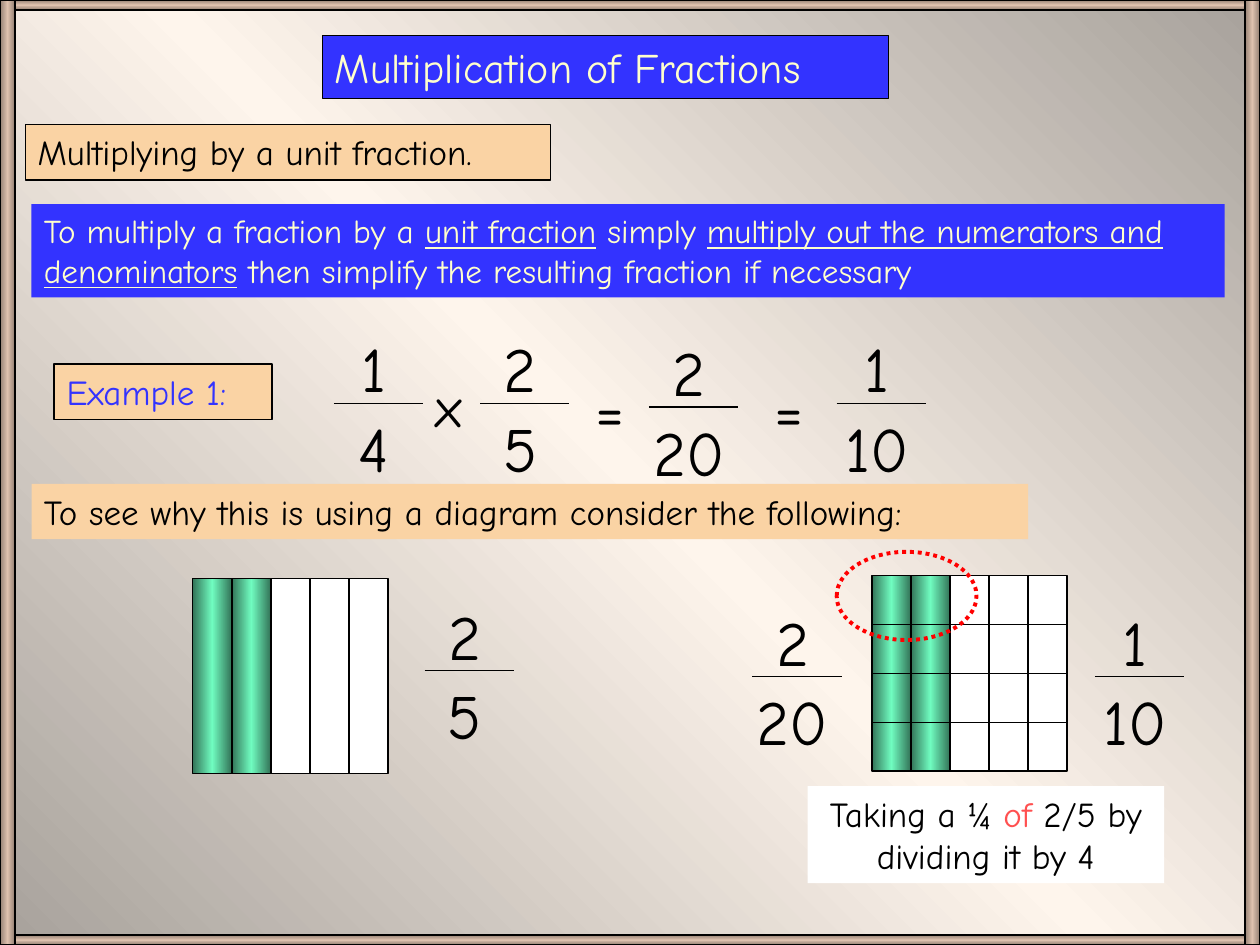
from copy import deepcopy
from pptx import Presentation
from pptx.dml.color import RGBColor
from pptx.enum.dml import MSO_LINE
from pptx.enum.shapes import MSO_CONNECTOR, MSO_SHAPE
from pptx.enum.text import MSO_ANCHOR, PP_ALIGN
from pptx.oxml.ns import qn
from pptx.util import Inches, Pt

RECT, OVAL = MSO_SHAPE.RECTANGLE, MSO_SHAPE.OVAL
LINE, DOTS = MSO_CONNECTOR.STRAIGHT, MSO_LINE.ROUND_DOT
LEFT, MID, TOP = PP_ALIGN.LEFT, PP_ALIGN.CENTER, MSO_ANCHOR.TOP
FONT = "Comic Neue"
WIDE, HIGH = 10, 7.5
INK, WHITE, BLUE, CREAM, PEACH = "000000", "FFFFFF", "3333FF", "FFFFCC", "FAD3A4"
PAPER, WOOD, GREEN = ("A7A19B", "FEF5EC"), ("927F72", "DEC1AE"), ("337458", "70FCC0")

PANELS = [
    ((2.56, 0.28, 4.49, 0.5), BLUE, INK, CREAM, 24, LEFT,
     [("Multiplication of Fractions", {})]),
    ((0.2, 0.99, 4.17, 0.44), PEACH, INK, INK, 20, LEFT,
     [("Multiplying by a unit fraction.", {})]),
    ((0.25, 1.62, 9.47, 0.74), BLUE, None, CREAM, 19, LEFT,
     [("To multiply a fraction by a ", {}),
      ("unit fraction", {"under": True}),
      (" simply ", {}),
      ("multiply out the numerators and denominators", {"under": True}),
      (" then simplify the resulting fraction if necessary", {})]),
    ((0.43, 2.89, 1.73, 0.44), PEACH, INK, BLUE, 20, LEFT,
     [("Example 1:", {})]),
    ((0.25, 3.84, 7.91, 0.44), PEACH, None, INK, 20, LEFT,
     [("To see why this is using a diagram consider the following:", {})]),
    ((6.41, 6.24, 2.83, 0.77), WHITE, None, INK, 20, MID,
     [("Taking a ¼ ", {}), ("of ", {"color": "FF5050"}),
      ("2/5 by dividing it by 4", {})]),
]
FRACS = [
    (2.5, 2.57, "1", "4"), (3.66, 2.57, "2", "5"),
    (5, 2.6, "2", "20"), (6.49, 2.57, "1", "10"),
    (3.22, 4.69, "2", "5"), (5.82, 4.74, "2", "20"), (8.54, 4.74, "1", "10"),
]
SIGNS = [((3.36, 2.9, 0.81, 0.64), "x", 32, LEFT),
         ((4.29, 2.89, 1.1, 0.7), "=", 36, MID),
         ((5.71, 2.89, 1.1, 0.7), "=", 36, MID)]
BARS = [((0, 0, WIDE, 0.08), 90), ((0, HIGH - 0.08, WIDE, 0.08), 90),
        ((0, 0, 0.12, HIGH), 0), ((WIDE - 0.12, 0, 0.12, HIGH), 0)]
COLS, SHADED, ROWS = 5, 2, 4
CELL, TALL = 0.31, 1.55

deck = Presentation()
deck.slide_width, deck.slide_height = Inches(WIDE), Inches(HIGH)
slide = deck.slides.add_slide(deck.slide_layouts[6])


def rgb(code):
    return RGBColor.from_string(code)


def blend(fill, node, pair, angle):
    fill.gradient()
    fill.gradient_angle = angle
    stops = next(node.iter(qn("a:gsLst")))
    stops.append(deepcopy(stops[-1]))
    edge, core = pair
    for stop, code, place in zip(fill.gradient_stops, (edge, core, edge), (0, 0.5, 1)):
        stop.color.rgb = rgb(code)
        stop.position = place


def shape(kind, box, fill=None, line=None, width=0.75, angle=0):
    form = slide.shapes.add_shape(kind, *map(Inches, box))
    form.shadow.inherit = False
    if isinstance(fill, tuple):
        blend(form.fill, form._element, fill, angle)
    elif fill:
        form.fill.solid()
        form.fill.fore_color.rgb = rgb(fill)
    else:
        form.fill.background()
    if line:
        form.line.color.rgb = rgb(line)
        form.line.width = Pt(width)
    else:
        form.line.fill.background()
    return form


def write(form, runs, size, color, align):
    frame = form.text_frame
    frame.word_wrap = True
    frame.vertical_anchor = TOP
    para = frame.paragraphs[0]
    para.alignment = align
    para.font.name, para.font.size = FONT, Pt(size)
    for text, style in runs:
        run = para.add_run()
        run.text = text
        run.font.color.rgb = rgb(style.get("color", color))
        if style.get("under"):
            run.font.underline = True


def label(box, text, size, align):
    form = slide.shapes.add_textbox(*map(Inches, box))
    write(form, [(text, {})], size, INK, align)


def rule(left, right, y):
    line = slide.shapes.add_connector(LINE, *map(Inches, (left, y, right, y)))
    line.line.color.rgb = rgb(INK)
    line.line.width = Pt(0.75)
    props = line._element.spPr
    props.append(props.makeelement(qn("a:effectLst"), {}))
    return line


def strips(left, top):
    return [shape(RECT, (left + i * CELL, top, CELL, TALL),
                  GREEN if i < SHADED else WHITE, INK) for i in range(COLS)]


def fraction(left, top, upper, lower):
    for row, text in enumerate((upper, lower)):
        label((left, top + row * 0.63, 0.94, 0.7), text, 36, MID)
    rule(left + 0.15, left + 0.86, top + 0.63)


blend(slide.background.fill, slide._element, PAPER, 225)

strips(1.53, 4.59)
grid = strips(6.92, 4.57)
for row in range(1, ROWS):
    cut = rule(6.92, 6.92 + COLS * CELL, 4.57 + row * TALL / ROWS)
    if row * 2 == ROWS:
        cut.begin_connect(grid[0], 1)
        cut.end_connect(grid[-1], 3)

for box, angle in BARS:
    shape(RECT, box, WOOD, INK, angle=angle)
for box, fill, line, color, size, align, runs in PANELS:
    write(shape(RECT, box, fill, line), runs, size, color, align)
for item in FRACS:
    fraction(*item)
for item in SIGNS:
    label(*item)

ring = shape(OVAL, (6.64, 4.38, 1.11, 0.7), None, "FF0000", 2.25)
ring.line.dash_style = DOTS

deck.save("out.pptx")
